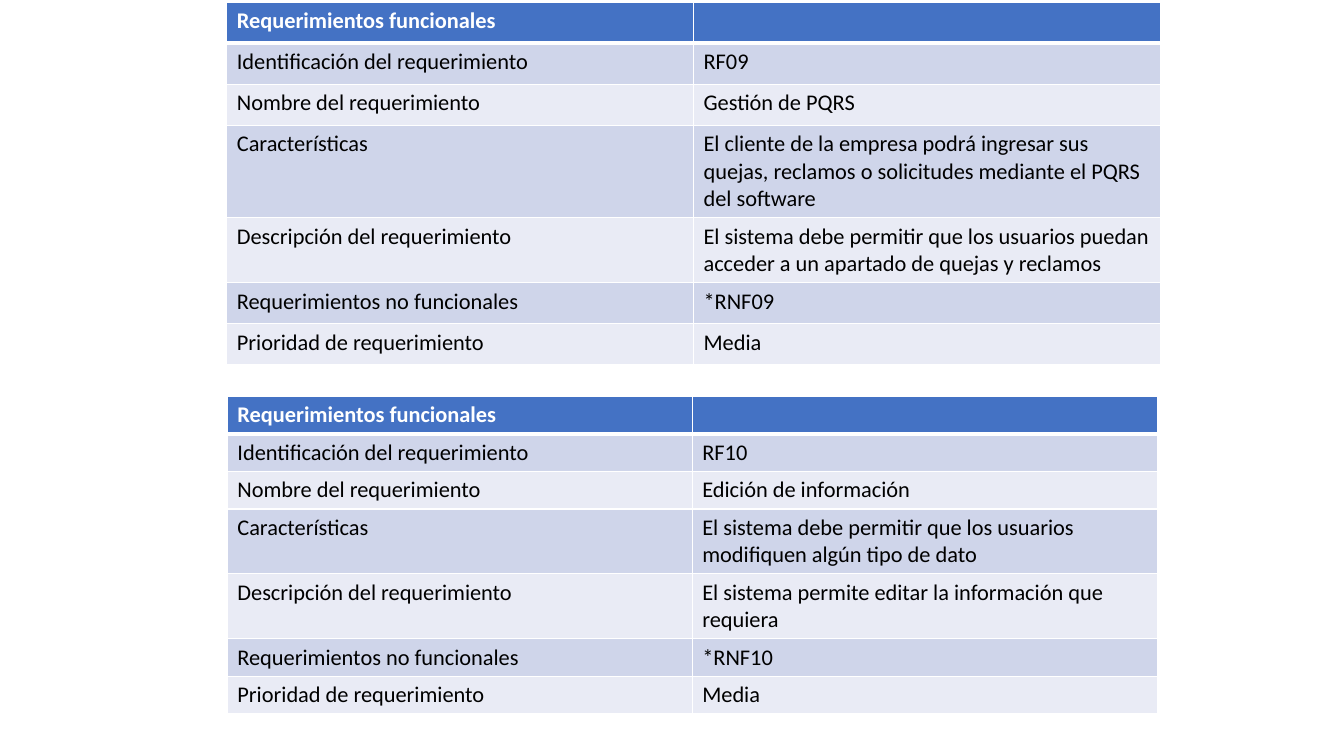
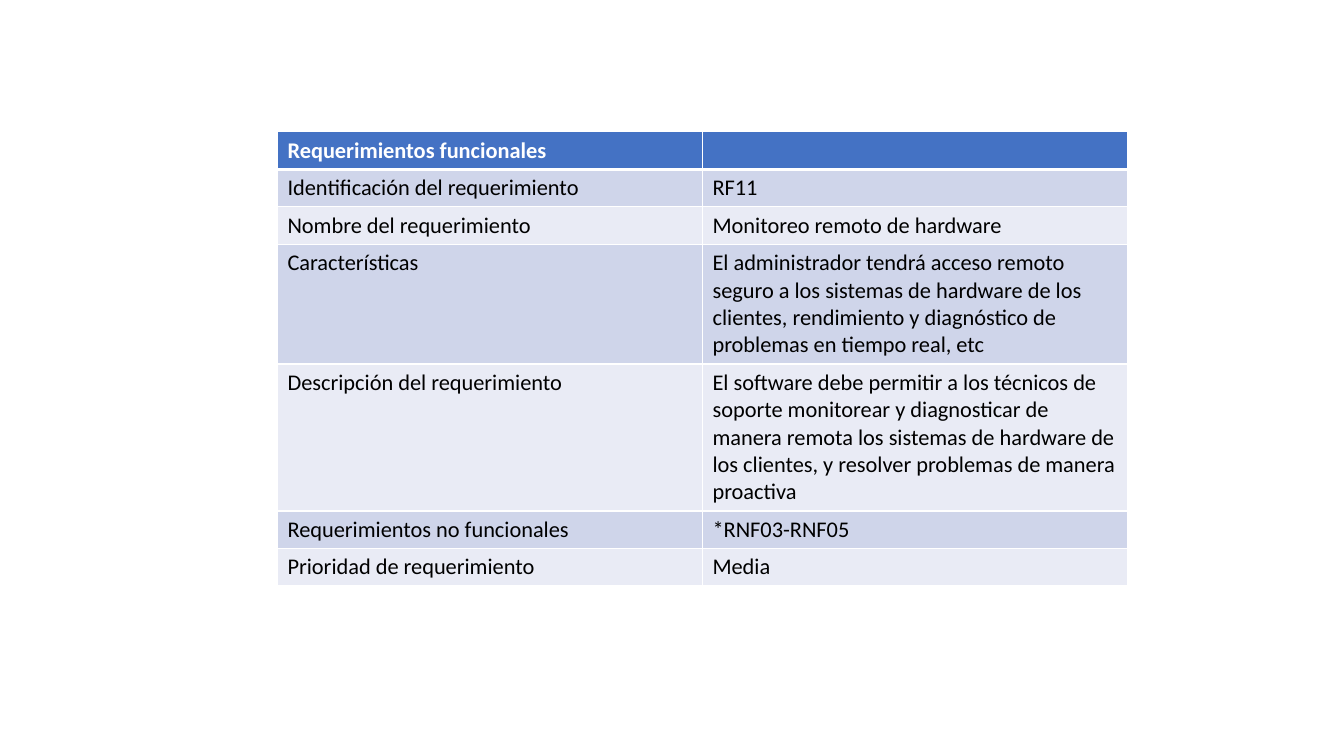
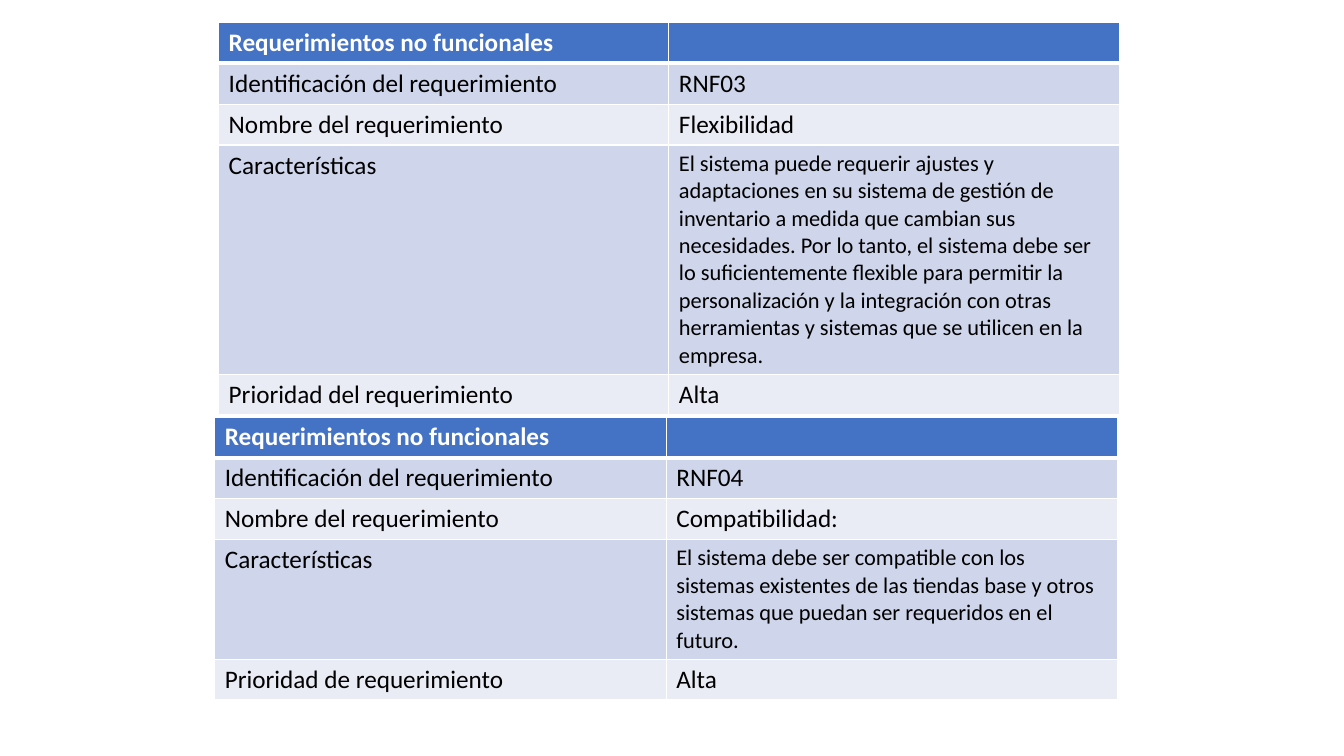
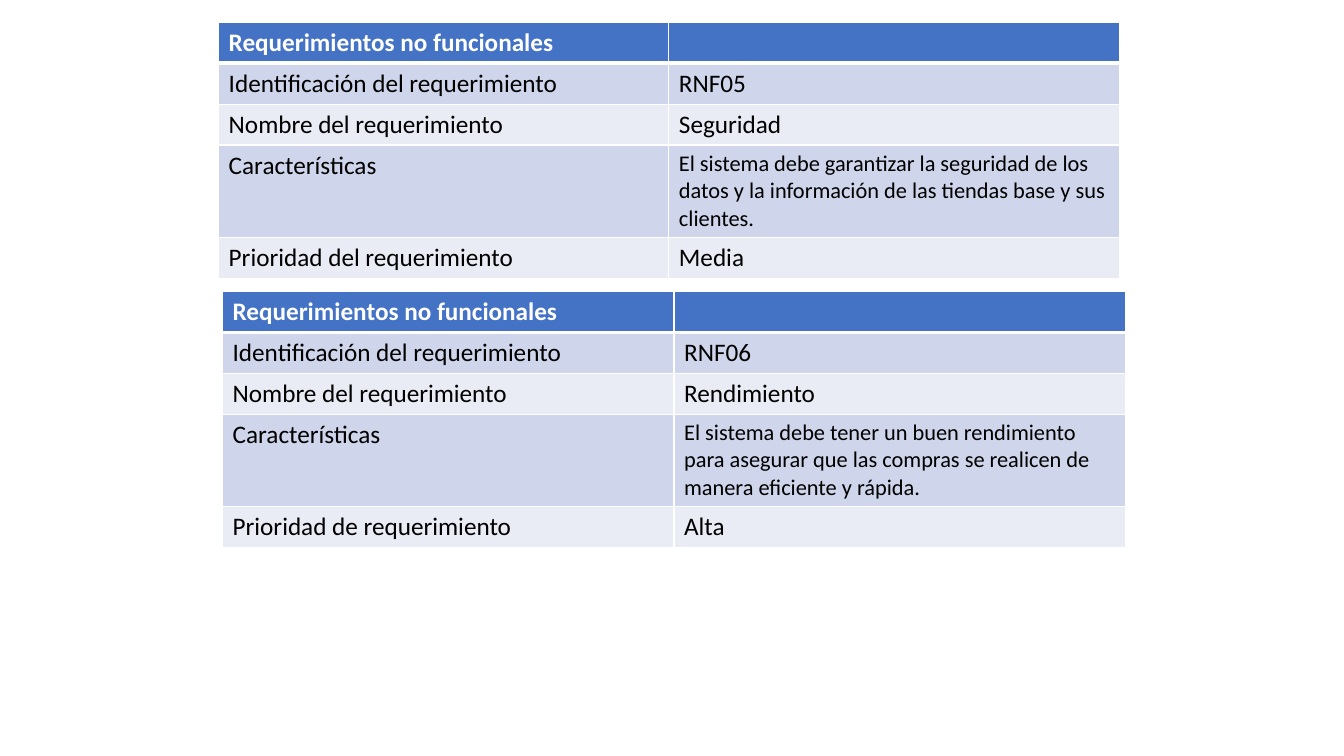
"""Build four slides of software requirement tables."""
from lxml.etree import SubElement
from pptx import Presentation
from pptx.dml.color import RGBColor
from pptx.oxml.ns import qn
from pptx.util import Pt

FONT = "Calibri"
BLUE, DARK, PALE = "4472C4", "CFD5EA", "E9EBF5"
WHITE, BLACK = "FFFFFF", "000000"
LINE, PAD = 1.22, 7.2

RF = ["Requerimientos funcionales", "Identificación del requerimiento",
      "Nombre del requerimiento", "Características",
      "Descripción del requerimiento", "Requerimientos no funcionales",
      "Prioridad de requerimiento"]
RNF = ["Requerimientos no funcionales", *RF[1:4]]
DEL = [*RNF, "Prioridad del requerimiento"]
DE = [*RNF, "Prioridad de requerimiento"]

SLIDES = [
    [
        dict(left=162, top=1.5, width=333.4, size=16, low=29.4, heads=RF,
             lines={3: 3, 4: 2}, vals=[
                 "RF09", "Gestión de PQRS",
                 "El cliente de la empresa podrá ingresar sus quejas, reclamos "
                 "o solicitudes mediante el PQRS del software",
                 "El sistema debe permitir que los usuarios puedan acceder a "
                 "un apartado de quejas y reclamos",
                 "*RNF09", "Media"]),
        dict(left=162.4, top=283.2, width=332.1, size=16, low=26.7, heads=RF,
             lines={3: 2, 4: 2}, vals=[
                 "RF10", "Edición de información",
                 "El sistema debe permitir que los "
                 "usuarios modifiquen algún tipo de dato",
                 "El sistema permite editar la información que requiera",
                 "*RNF10", "Media"]),
    ],
    [
        dict(left=198.2, top=94.2, width=303.6, size=16, low=26.7, heads=RF,
             lines={3: 4, 4: 5}, vals=[
                 "RF11", "Monitoreo remoto de hardware",
                 "El administrador tendrá acceso remoto seguro a los sistemas "
                 "de hardware de los clientes, rendimiento y diagnóstico de "
                 "problemas en tiempo real, etc",
                 "El software debe permitir a los técnicos de soporte "
                 "monitorear y diagnosticar de manera remota los sistemas de "
                 "hardware de los clientes, y resolver problemas de manera "
                 "proactiva",
                 "*RNF03-RNF05", "Media"]),
    ],
    [
        dict(left=156.2, top=16, width=321.6, size=18, low=29.2, heads=DEL,
             lines={3: 8}, vals=[
                 "RNF03", "Flexibilidad",
                 "El sistema puede requerir ajustes y adaptaciones en su "
                 "sistema de gestión de inventario a medida que cambian sus "
                 "necesidades. Por lo tanto, el sistema debe ser lo "
                 "suficientemente flexible para permitir la personalización y "
                 "la integración con otras herramientas y sistemas que se "
                 "utilicen en la empresa.",
                 "Alta"]),
        dict(left=153.4, top=297.8, width=322.5, size=18, low=29.2, heads=DE,
             lines={3: 4}, vals=[
                 "RNF04", "Compatibilidad:",
                 "El sistema debe ser compatible con los sistemas existentes "
                 "de las tiendas base y otros sistemas que puedan ser "
                 "requeridos en el futuro.",
                 "Alta"]),
    ],
    [
        dict(left=156.2, top=16, width=321.6, size=18, low=29.2, heads=DEL,
             lines={3: 3}, vals=[
                 "RNF05", "Seguridad",
                 "El sistema debe garantizar la seguridad de los datos y la "
                 "información de las tiendas base y sus clientes.",
                 "Media"]),
        dict(left=159, top=208.2, width=322.5, size=18, low=29.2, heads=DE,
             lines={3: 3}, vals=[
                 "RNF06", "Rendimiento",
                 "El sistema debe tener un buen rendimiento para asegurar que "
                 "las compras se realicen de manera eficiente y rápida.",
                 "Alta"]),
    ],
]


def rgb(code):
    return RGBColor.from_string(code)


def write(cell, text, size=16, color=BLACK, bold=False):
    para = cell.text_frame.paragraphs[0]
    if not text:
        SubElement(para._p, qn("a:endParaRPr"), sz=str(size * 100))
        return
    run = para.add_run()
    run.text = text
    font = run.font
    font.name, font.size, font.bold = FONT, Pt(size), bold
    font.color.rgb = rgb(color)


deck = Presentation()
deck.slide_width, deck.slide_height = Pt(960), Pt(540)

for group in SLIDES:
    slide = deck.slides.add_slide(deck.slide_layouts[6])
    for item in group:
        heads, size = item["heads"], item["size"]
        highs = [max(item["low"], PAD + LINE * 16 * item["lines"].get(row, 1))
                 for row in range(len(heads))]
        grid = slide.shapes.add_table(
            len(heads), 2, Pt(item["left"]), Pt(item["top"]),
            Pt(2 * item["width"]), Pt(sum(highs))).table
        for col in grid.columns:
            col.width = Pt(item["width"])
        for row, pair in enumerate(zip(heads, ["", *item["vals"]])):
            grid.rows[row].height = Pt(highs[row])
            for col, text in enumerate(pair):
                cell = grid.cell(row, col)
                props = cell._tc.get_or_add_tcPr()
                for side in "LRTB":
                    thick = (row, side) in [(0, "B"), (1, "T")]
                    edge = SubElement(props, qn(f"a:ln{side}"),
                                      w=str(Pt(3 if thick else 1)))
                    fill = SubElement(edge, qn("a:solidFill"))
                    SubElement(fill, qn("a:srgbClr"), val=WHITE)
                cell.fill.solid()
                cell.fill.fore_color.rgb = rgb(
                    BLUE if row == 0 else DARK if row % 2 else PALE)
                small = col == 1 and row in item["lines"]
                write(cell, text, size=16 if small else size,
                      color=BLACK if row else WHITE, bold=row == 0)

deck.save("out.pptx")
